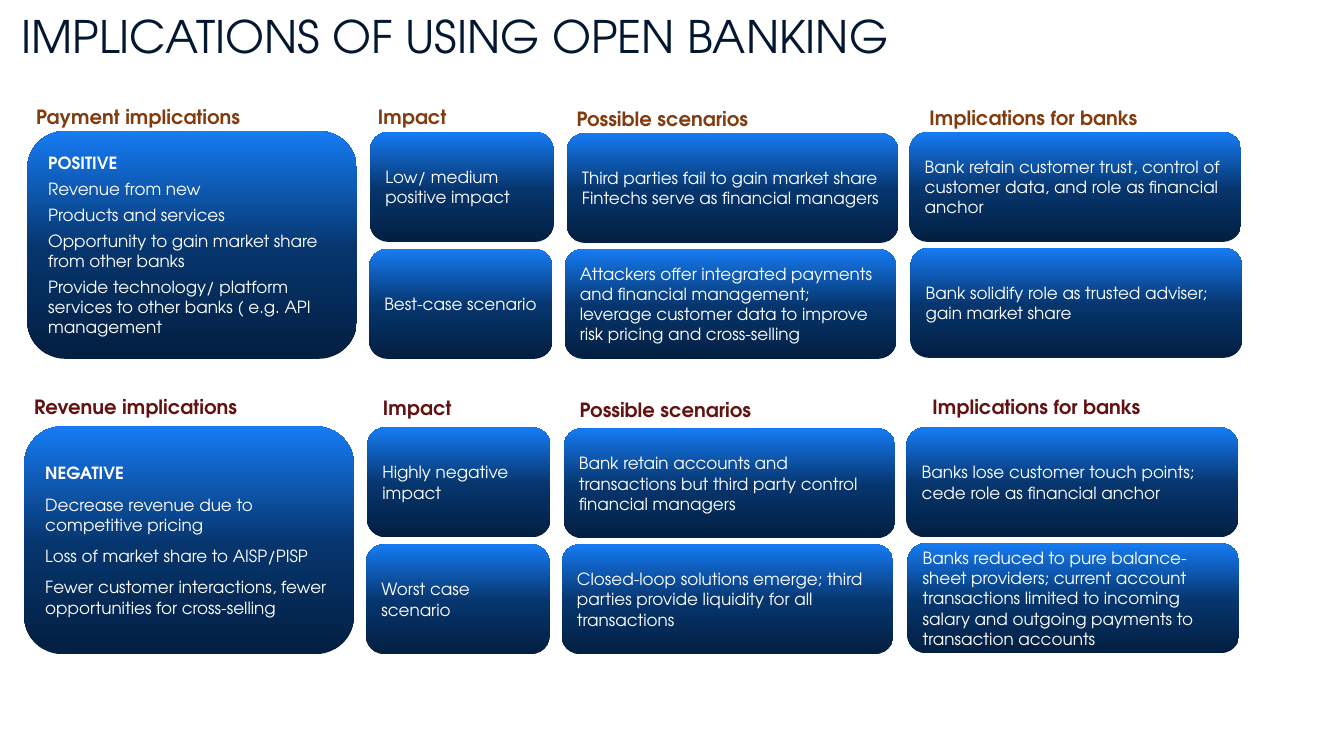
from copy import deepcopy
from dataclasses import dataclass

from pptx import Presentation
from pptx import util as u
from pptx.dml.color import RGBColor
from pptx.enum import shapes, text


@dataclass(frozen=True)
class Theme:
    """Colours, font and type sizes of the slide."""
    font: str = "TeX Gyre Adventor"
    title: str = "031730"
    payment: str = "813C0F"
    revenue: str = "631212"
    body: str = "FFFFFF"
    gradient: tuple = ((0, "031F41"), (0.48, "06356D"), (1, "167BF3"))
    title_size: int = 32
    heading_size: int = 14
    body_size: int = 12


THEME = Theme()
COLUMNS = ((3.4, 1.82, -0.01), (5.35, 3.29, -0.02), (8.75, 3.29, 0.01))
ROW_TOPS = ((0.01, 0.02, 0.01), (1.17, 1.17, 1.16))
SUMMARY_SIZE = (3.27, 2.26)
CARD_HEIGHT = 1.09

PAYMENT = {
    "headings": (("Payment implications", -0.01, -0.31, 2.91), ("Impact", 3.38, -0.31, 2),
                 ("Possible scenarios", 5.35, -0.29, 3.54),
                 ("Implications for banks", 8.85, -0.3, 3.95)),
    "summary": ("POSITIVE", "Revenue from new", "Products and services",
                "Opportunity to gain market share from other banks",
                "Provide technology/ platform services to other banks ( e.g. API management"),
    "rows": ((["Low/ medium positive impact"],
              ["Third parties fail to gain market share", "Fintechs serve as financial managers"],
              ["Bank retain customer trust, control of customer data, and role as financial anchor"]),
             (["Best-case scenario"],
              ["Attackers offer integrated payments and financial management; "
               "leverage customer data to improve risk pricing and cross-selling"],
              ["Bank solidify role as trusted adviser; gain market share"])),
}
REVENUE = {
    "headings": (("Revenue implications", 0, -0.36, 2.3), ("Impact", 3.46, -0.35, 2),
                 ("Possible scenarios", 5.41, -0.33, 3.29),
                 ("Implications for banks", 8.91, -0.36, 3.82)),
    "summary": ("NEGATIVE", "Decrease revenue due to competitive pricing",
                "Loss of market share to AISP/PISP",
                "Fewer customer interactions, fewer opportunities for cross-selling"),
    "rows": ((["Highly negative impact"],
              ["Bank retain accounts and transactions but third party control financial managers"],
              ["Banks lose customer touch points; cede role as financial anchor"]),
             (["Worst case scenario"],
              ["Closed-loop solutions emerge; third parties provide liquidity for all transactions"],
              ["Banks reduced to pure balance-sheet providers; current account transactions "
               "limited to incoming salary and outgoing payments to transaction accounts"])),
}


def write(tf, lines, size, color, bold=False, bold_first=False, gap=0,
          anchor=text.MSO_ANCHOR.MIDDLE):
    """Fill a text frame with one formatted paragraph per line."""
    tf.word_wrap = True
    tf.auto_size = text.MSO_AUTO_SIZE.NONE
    tf.vertical_anchor = anchor
    for i, line in enumerate(lines):
        p = tf.add_paragraph() if i else tf.paragraphs[0]
        p.alignment = text.PP_ALIGN.LEFT
        p.space_before = u.Pt(gap if i else min(gap, 4))
        r = p.add_run()
        r.text = line
        r.font.name = THEME.font
        r.font.size = u.Pt(size)
        r.font.bold = bold or (bold_first and i == 0)
        r.font.color.rgb = RGBColor.from_string(color)


def add_title(s, wording, left, top, width, height):
    """Place and format the slide title."""
    sp = s.shapes.title
    sp.left, sp.top, sp.width, sp.height = map(u.Inches, (left, top, width, height))
    write(sp.text_frame, [wording], THEME.title_size, THEME.title)


def add_heading(s, wording, color, left, top, width):
    """Add a column heading."""
    sp = s.shapes.add_textbox(*map(u.Inches, (left, top, width, 0.34)))
    write(sp.text_frame, [wording], THEME.heading_size, color, bold=True,
          anchor=text.MSO_ANCHOR.TOP)


def add_card(s, lines, left, top, width, height, **fmt):
    """Add a rounded card with the gradient fill."""
    sp = s.shapes.add_shape(shapes.MSO_SHAPE.ROUNDED_RECTANGLE,
                            *map(u.Inches, (left, top, width, height)))
    sp.shadow.inherit = False
    sp.line.fill.background()
    sp.fill.gradient()
    sp.fill.gradient_angle = 90
    first = sp.element.xpath(".//a:gs")[0]
    first.addnext(deepcopy(first))
    for stop, (position, color) in zip(sp.fill.gradient_stops, THEME.gradient):
        stop.position = position
        stop.color.rgb = RGBColor.from_string(color)
    write(sp.text_frame, lines, THEME.body_size, THEME.body, **fmt)


def add_panel(s, content, color, left, top, gap):
    """Add headings, the summary card and the grid of cards from a top-left corner."""
    for wording, dx, dy, width in content["headings"]:
        add_heading(s, wording, color, left + dx, top + dy, width)
    add_card(s, content["summary"], left, top, *SUMMARY_SIZE, bold_first=True, gap=gap)
    for row, (cells, tops) in enumerate(zip(content["rows"], ROW_TOPS)):
        for lines, dy, (dx, width, shift) in zip(cells, tops, COLUMNS):
            add_card(s, lines, left + dx + row * shift, top + dy, width, CARD_HEIGHT)


def main():
    """Build and save the slide."""
    prs = Presentation()
    prs.slide_width, prs.slide_height = u.Inches(13.33), u.Inches(7.5)
    s = prs.slides.add_slide(prs.slide_layouts[5])
    add_title(s, "IMPLICATIONS OF USING OPEN BANKING", 0.11, 0.11, 12.63, 0.48)
    add_panel(s, PAYMENT, THEME.payment, 0.27, 1.3, gap=4)
    add_panel(s, REVENUE, THEME.revenue, 0.24, 4.23, gap=8)
    prs.save("out.pptx")


if __name__ == "__main__":
    main()
